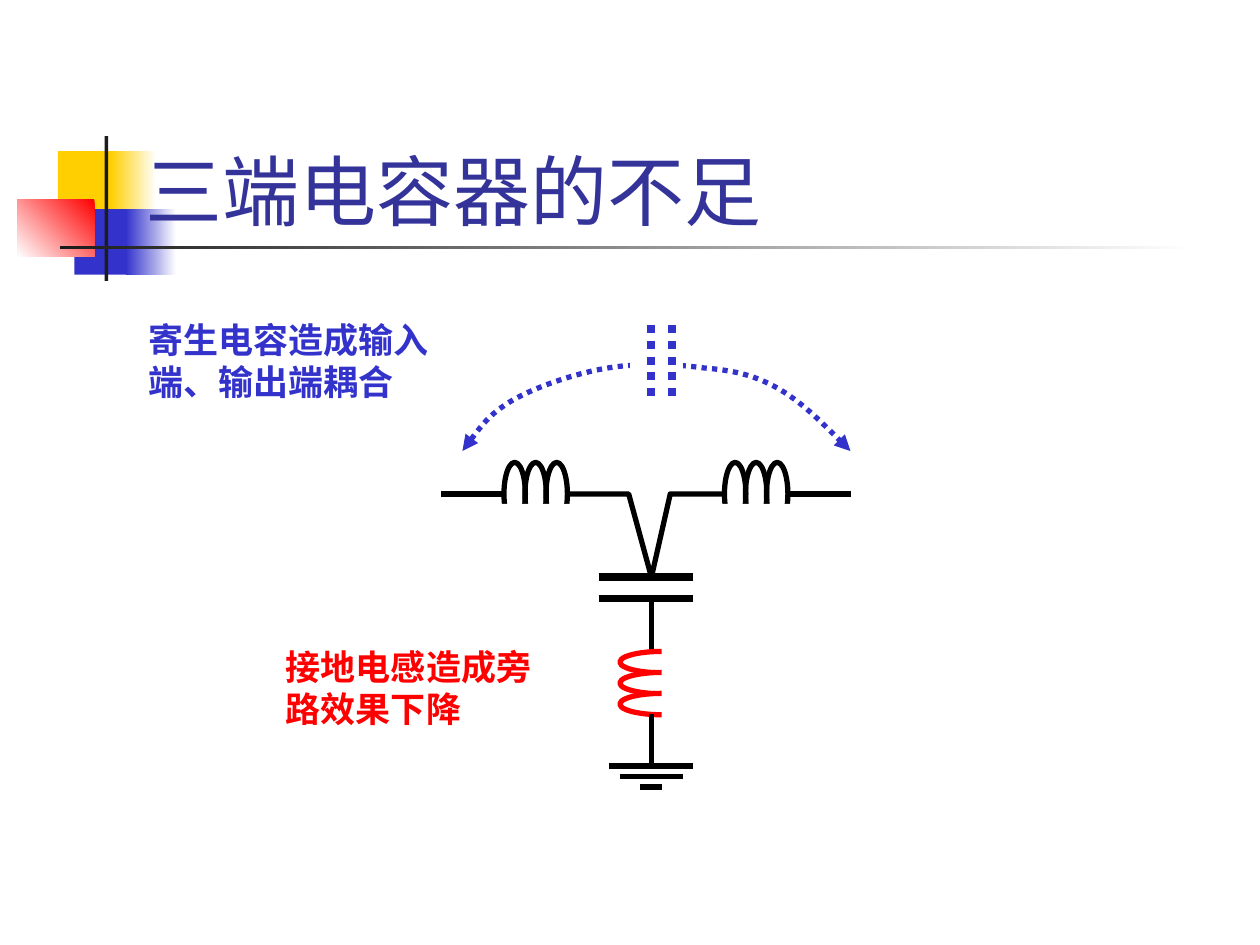
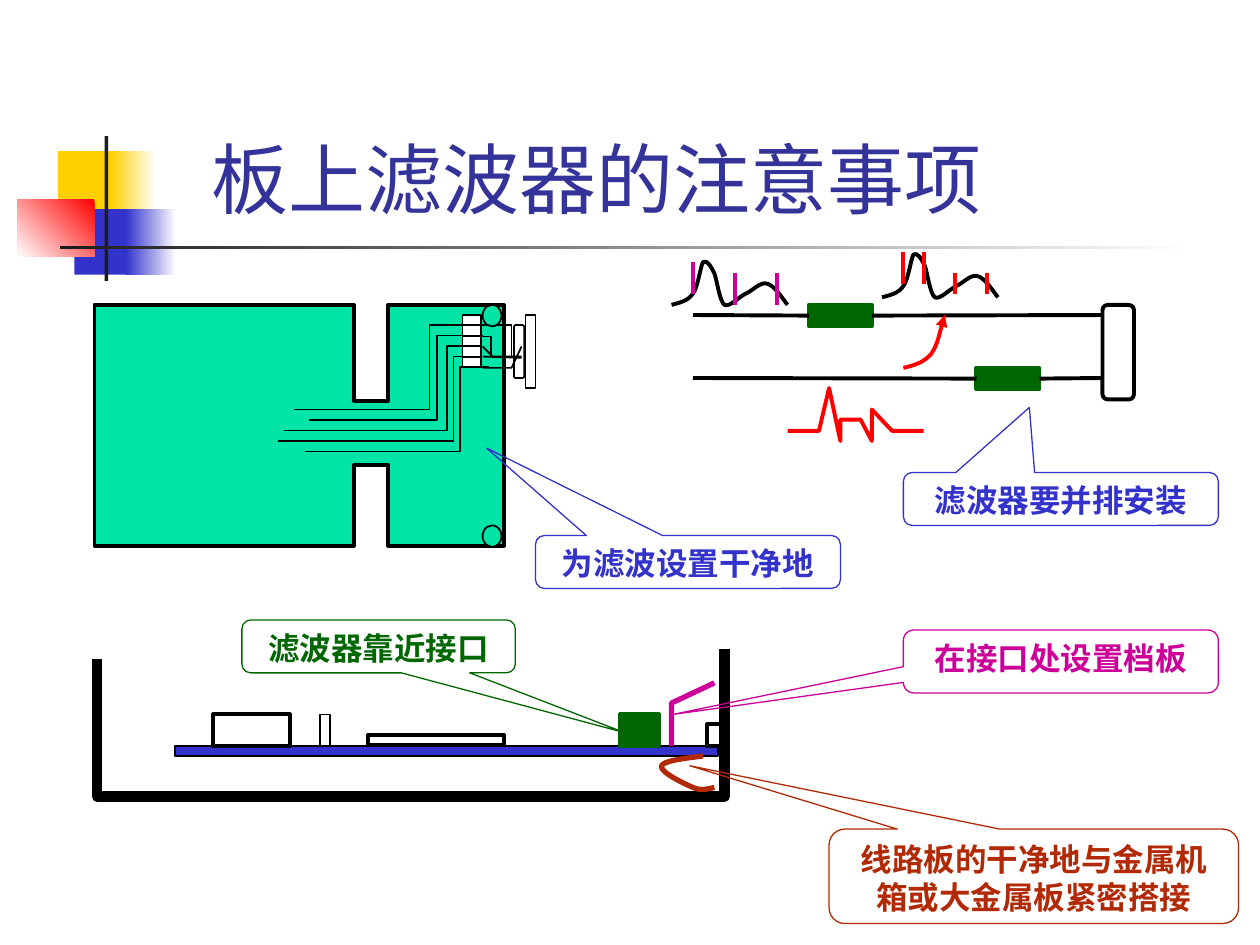
from lxml import etree
from pptx import Presentation
from pptx import util as u
from pptx.dml import color
from pptx.enum import dml, shapes, text
from pptx.oxml import ns

KIND = shapes.MSO_SHAPE
BLACK, WHITE, BLUE, RED = "000000", "FFFFFF", "3333CC", "FF0000"
GREEN, PINK, RUST, BOARD = "006600", "CC0099", "B12A05", "00E4A8"
NAVY, GOLD, DARK = "333399", "FFCF01", "1C1C1C"
STEP = 1 / 12
WAVE = [(0, .36), (.07, .34), (.13, .33), (.17, .27), (.21, .22), (.23, .05),
        (.25, .02), (.28, 0), (.31, .05), (.34, .11), (.36, .16), (.38, .33),
        (.42, .36), (.46, .38), (.53, .3), (.59, .27), (.64, .25), (.7, .18),
        (.75, .19), (.81, .2), (.86, .28), (.92, .36)]


def rgb(code):
    """Turn a hex string into a colour."""
    return color.RGBColor.from_string(code)


def inch(*sizes):
    """Turn numbers into lengths in inches."""
    return [u.Inches(size) for size in sizes]


def pen(item, hue, width, dots=False, head=False, tail=False):
    """Set the line of a shape or connector."""
    if hue is None:
        item.line.fill.background()
        return
    item.line.color.rgb = rgb(hue)
    item.line.width = u.Pt(width)
    if dots:
        item.line.dash_style = dml.MSO_LINE.ROUND_DOT
    ln = item.element.spPr.find(ns.qn("a:ln"))
    for tag, wanted in (("a:headEnd", head), ("a:tailEnd", tail)):
        if wanted:
            etree.SubElement(ln, ns.qn(tag), type="triangle")


def paint(item, fill):
    """Set a plain fill or none, and drop the shadow."""
    item.shadow.inherit = False
    if fill:
        item.fill.solid()
        item.fill.fore_color.rgb = rgb(fill)
    else:
        item.fill.background()


def block(slide, at, fill=None, hue=None, width=1, kind=KIND.RECTANGLE):
    """Add a preset shape."""
    item = slide.shapes.add_shape(kind, *inch(*at))
    paint(item, fill)
    pen(item, hue, width)
    return item


def fade(slide, at, first, last, angle=180):
    """Add a rectangle with a two-colour gradient."""
    item = block(slide, at)
    item.fill.gradient()
    item.fill.gradient_angle = angle
    for stop, hue, place in zip(item.fill.gradient_stops, (first, last), (0, 1)):
        stop.color.rgb = rgb(hue)
        stop.position = place


def wire(slide, x1, y1, x2, y2, hue=BLACK, width=3, dots=False,
         start=None, end=None):
    """Add a straight line, joined to rectangle sides where given."""
    item = slide.shapes.add_connector(shapes.MSO_CONNECTOR.STRAIGHT,
                                      *inch(x1, y1, x2, y2))
    if start:
        item.begin_connect(*start)
    if end:
        item.end_connect(*end)
    pen(item, hue, width, dots)
    etree.SubElement(item.element.spPr, ns.qn("a:effectLst"))


def trace(slide, points, hue=BLACK, width=1.0, fill=None, close=False,
          curve=False, **ends):
    """Add an outline; a curve takes its points as Bezier triples."""
    spots = [tuple(inch(*point)) for point in points]
    pencil = slide.shapes.build_freeform(*spots[0], scale=1.0)
    pencil.add_line_segments(spots[1:], close=close)
    item = pencil.convert_to_shape()
    if curve:
        route = item.element.find(".//" + ns.qn("a:path"))
        legs = route.findall(ns.qn("a:lnTo"))
        for i in range(0, len(legs), 3):
            bend = etree.SubElement(route, ns.qn("a:cubicBezTo"))
            for leg in legs[i:i + 3]:
                bend.append(leg[0])
                route.remove(leg)
    paint(item, fill)
    pen(item, hue, width, **ends)


def write(item, words, size=20, hue=BLUE, font="Lato", bold=True,
          align=text.PP_ALIGN.LEFT, anchor=text.MSO_ANCHOR.TOP):
    """Put formatted text into a shape."""
    frame = item.text_frame
    frame.word_wrap = True
    frame.vertical_anchor = anchor
    para = frame.paragraphs[0]
    para.alignment = align
    run = para.add_run()
    run.text = words
    run.font.size = u.Pt(size)
    run.font.name = font
    run.font.bold = bold
    run.font.color.rgb = rgb(hue)


def label(slide, at, words, **look):
    """Add a text box."""
    write(slide.shapes.add_textbox(*inch(*at)), words, **look)


def bubble(slide, at, tip, words, hue):
    """Add a rounded callout with its tip offset."""
    item = block(slide, at, None, hue, .75, KIND.ROUNDED_RECTANGULAR_CALLOUT)
    for i, value in enumerate((*tip, .167)):
        item.adjustments[i] = value
    write(item, words, size=18, hue=hue, font="Times New Roman",
          align=text.PP_ALIGN.CENTER)


def begin(deck, title, at):
    """Add a slide with the shared squares, rule and title."""
    slide = deck.slides.add_slide(deck.slide_layouts[6])
    block(slide, (.46, 1.2, .48, .52), GOLD)
    fade(slide, (.88, 1.2, .36, .52), WHITE, GOLD)
    block(slide, (.59, 1.66, .46, .52), BLUE)
    fade(slide, (1, 1.66, .4, .52), WHITE, BLUE)
    fade(slide, (.14, 1.58, .61, .46), RED, WHITE, 225)
    block(slide, (.83, 1.08, .03, 1.15), DARK)
    fade(slide, (.48, 1.95, 9, .03), WHITE, DARK)
    label(slide, at, title, size=44, hue=NAVY, bold=False,
          anchor=text.MSO_ANCHOR.BOTTOM)
    return slide


def circuit(slide):
    """Draw the three-terminal capacitor and its ground path."""
    for outer, inner in ((4.5, 4.99), (5.75, 5.32)):
        trace(slide, [(outer, 3.92), (inner, 3.92), (5.17, 4.58)], width=3)
    for left in (4, 5.75):
        for i in range(3):
            block(slide, (left + i / 6, 3.67, .17, .5), None, BLACK, 3, KIND.OVAL)
    for left in (3.67, 5.5):
        block(slide, (left, 4, 1.17, .33), WHITE)
    for left in (3.5, 6.25):
        wire(slide, left, 3.92, left + .5, 3.92)
    for top in (4.58, 4.75):
        wire(slide, 4.75, top, 5.5, top, width=4.5)
    wire(slide, 5.17, 4.75, 5.17, 5.17)
    for i in range(3):
        block(slide, (4.92, 5.17 + i / 6, .67, .17), WHITE, RED, 3, KIND.OVAL)
    block(slide, (5.25, 5, .42, .83), WHITE)
    wire(slide, 5.17, 5.67, 5.17, 6.08)
    for i, (left, right) in enumerate(((4.83, 5.5), (4.92, 5.42), (5.08, 5.25))):
        wire(slide, left, 6.08 + i * STEP, right, 6.08 + i * STEP)


def couple(slide):
    """Draw the stray capacitor between input and output."""
    arc = [(3.67, 3.58), (3.78, 3.43), (3.89, 3.28), (4.08, 3.17), (4.28, 3.06),
           (4.58, 2.96), (4.83, 2.92), (5.08, 2.88), (5.36, 2.89), (5.58, 2.92),
           (5.81, 2.94), (5.97, 2.97), (6.17, 3.08), (6.36, 3.19), (6.56, 3.39),
           (6.75, 3.58)]
    trace(slide, arc, BLUE, 3, curve=True, dots=True, head=True, tail=True)
    block(slide, (5, 2.58, .42, .58), WHITE)
    for left in (5.17, 5.33):
        wire(slide, left, 2.58, left, 3.17, BLUE, 4.5, dots=True)


def board(slide):
    """Draw the circuit board from above with its traces and port."""
    edge = [(.75, 2.42), (2.81, 2.42), (2.81, 3.18), (3.08, 3.18), (3.08, 2.42),
            (4, 2.42), (4, 4.33), (3.08, 4.33), (3.08, 3.69), (2.81, 3.69),
            (2.81, 4.33), (.75, 4.33)]
    trace(slide, edge, width=2.25, fill=BOARD, close=True)
    block(slide, (4.17, 2.5, .08, .58), WHITE, BLACK)
    block(slide, (4.08, 2.58, .08, .42), WHITE, BLACK, kind=KIND.ROUNDED_RECTANGLE)
    for i in range(5):
        block(slide, (3.67, 2.5 + i * STEP, .15, .08), WHITE, BLACK)
    tracks = ((2.33, 3.41, 3.8), (2.45, 3.47, 3.83), (2.25, 3.55, 3.8),
              (2.21, 3.6, 3.75), (2.42, 3.65, 3.88))
    for i, (left, bend, right) in enumerate(tracks):
        low, high = 3.25 + i * STEP, 2.58 + i * STEP
        trace(slide, [(left, low), (bend, low), (bend, high), (right, high)])
    for pins in ([(3.75, 2.58), (4.06, 2.58), (4.06, 2.83)],
                 [(3.75, 2.67), (3.9, 2.67), (3.9, 2.83), (4.06, 2.83)],
                 [(3.83, 2.75), (3.91, 2.83), (4.14, 2.83)],
                 [(3.83, 2.92), (4.06, 2.92), (4.14, 2.75)]):
        trace(slide, pins)
    wire(slide, 3.83, 2.83, 4.14, 2.84, width=1)
    for top in (2.42, 4.17):
        block(slide, (3.83, top, .15, .17), BOARD, BLACK, kind=KIND.OVAL)


def case(slide):
    """Draw the board in its metal case from the side."""
    block(slide, (1.39, 5.92, 4.31, .08), BLUE, BLACK)
    trace(slide, [(.77, 5.23), (.77, 6.32), (5.75, 6.32), (5.75, 5.15)], width=6)
    for at, width in (((1.69, 5.67, .61, .25), 2.25), ((2.54, 5.67, .08, .25), 1),
                      ((2.92, 5.83, 1.08, .08), 2.25), ((5.61, 5.75, .15, .17), 2.25)):
        block(slide, at, None, BLACK, width)
    block(slide, (4.92, 5.67, .31, .25), GREEN, GREEN, 2.25)


def lines(slide):
    """Draw two filtered lines with the noise on them."""
    lower = block(slide, (7.75, 2.92, .5, .17), GREEN, GREEN, 2.25)
    upper = block(slide, (6.42, 2.42, .5, .17), GREEN, GREEN, 2.25)
    for part, left, right, top in ((upper, 6.42, 8.83, 2.5), (lower, 7.75, 8.75, 3)):
        wire(slide, 5.5, top, left, top, width=2.25, end=(part, 1))
        wire(slide, left + .5, top, right, top, width=2.25, start=(part, 3))
    block(slide, (8.75, 2.42, .25, .75), WHITE, BLACK, 2.25, KIND.ROUNDED_RECTANGLE)
    for left, top in ((5.33, 2.06), (7, 2)):
        trace(slide, [(left + x, top + y) for x, y in WAVE], width=2.25, curve=True)
    spikes = [(6.25, 3.42), (6.5, 3.42), (6.58, 3.08), (6.67, 3.5), (6.67, 3.33),
              (6.83, 3.33), (6.92, 3.5), (6.92, 3.25), (7.08, 3.42), (7.33, 3.42)]
    trace(slide, spikes, RED, 2.25)
    trace(slide, [(7.17, 2.92), (7.25, 2.9), (7.33, 2.88), (7.39, 2.81),
                  (7.44, 2.74), (7.48, 2.55), (7.5, 2.5)],
          RED, 2.25, curve=True, tail=True)
    for left, top, tall, hue in ((5.5, 2.08, .25, PINK), (5.83, 2.17, .25, PINK),
                                 (6.17, 2.17, .25, PINK), (7.17, 2, .25, RED),
                                 (7.33, 2, .25, RED), (7.58, 2.17, .16, RED),
                                 (7.83, 2.17, .16, RED)):
        wire(slide, left, top, left, top + tall, hue, 2.25)


def notes(slide):
    """Add the baffle, the ground spring and all callouts."""
    trace(slide, [(5.33, 5.92), (5.33, 5.58), (5.67, 5.42)], PINK, 3)
    trace(slide, [(5.58, 6), (5.42, 6.02), (5.26, 6.04), (5.25, 6.08),
                  (5.24, 6.13), (5.43, 6.22), (5.5, 6.25), (5.57, 6.28),
                  (5.62, 6.26), (5.67, 6.25)], RUST, 3, curve=True)
    for note in (
            ((7.17, 3.75, 2.5, .42), (-.1, -1.73), "滤波器要并排安装", BLUE),
            ((6.58, 6.58, 3.25, .75), (-.84, -1.17),
             "线路板的干净地与金属机箱或大金属板紧密搭接", RUST),
            ((4.25, 4.25, 2.42, .42), (-.66, -2.15), "为滤波设置干净地", BLUE),
            ((7.17, 5, 2.5, .5), (-1.23, .84), "在接口处设置档板", PINK),
            ((1.92, 4.92, 2.17, .42), (.9, 1.63), "滤波器靠近接口", GREEN)):
        bubble(slide, *note)


def main():
    """Build and save both slides."""
    deck = Presentation()
    deck.slide_width, deck.slide_height = inch(10, 7.5)
    flaws = begin(deck, "三端电容器的不足", (1.06, .67, 8.52, 1.25))
    circuit(flaws)
    couple(flaws)
    label(flaws, (1.08, 2.48, 2.5, .77), "寄生电容造成输入端、输出端耦合")
    label(flaws, (2.17, 5.07, 2.42, .77), "接地电感造成旁路效果下降", hue=RED)
    tips = begin(deck, "板上滤波器的注意事项", (1.58, .58, 7, 1.25))
    for draw in (board, case, lines, notes):
        draw(tips)
    deck.save("out.pptx")


if __name__ == "__main__":
    main()
